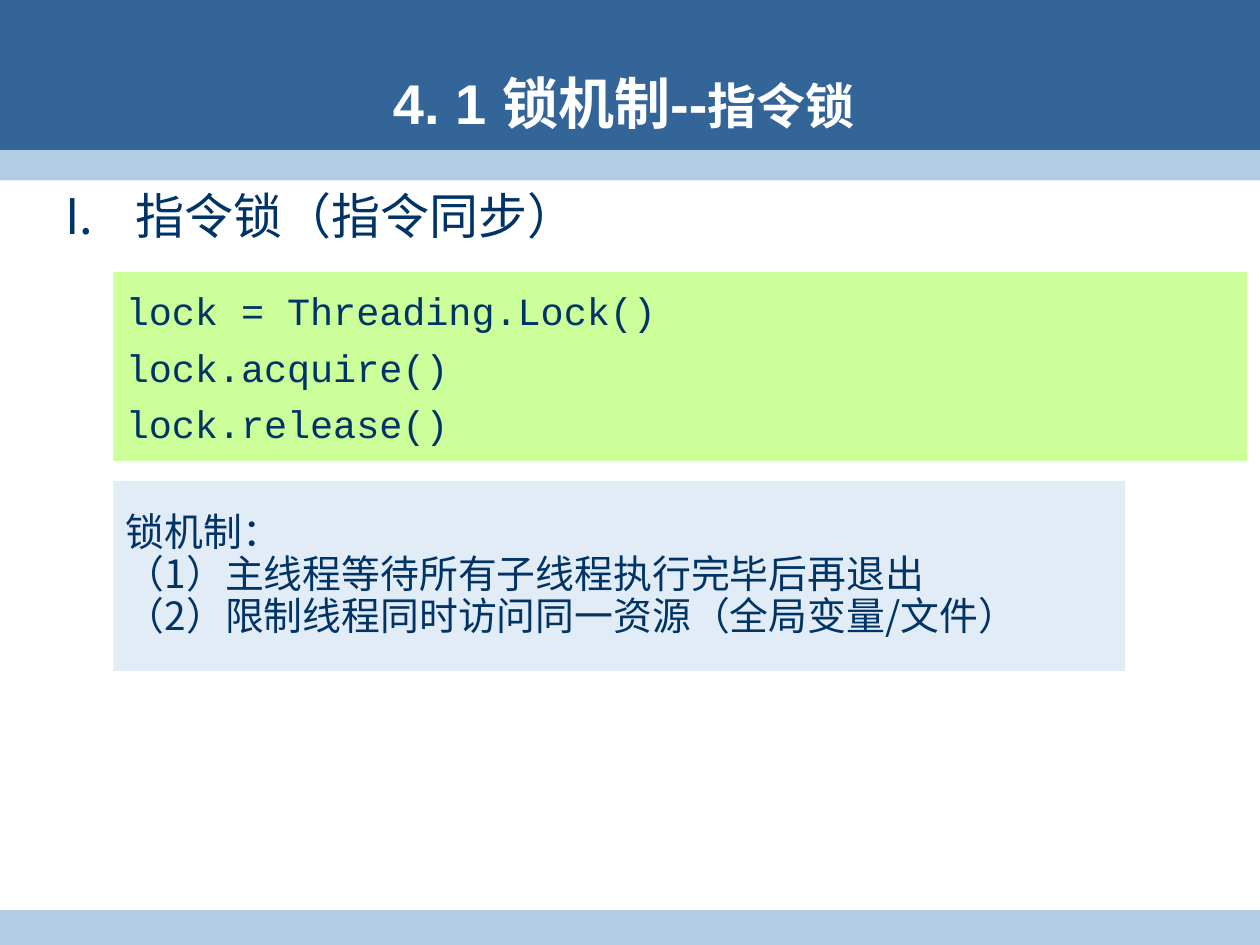
from dataclasses import dataclass

from lxml import etree
from pptx import Presentation
from pptx.dml.color import RGBColor
from pptx.enum.shapes import MSO_SHAPE
from pptx.enum.text import MSO_ANCHOR, PP_ALIGN
from pptx.oxml.ns import qn
from pptx.util import Inches, Pt

RECT = MSO_SHAPE.RECTANGLE
TOP, MIDDLE = MSO_ANCHOR.TOP, MSO_ANCHOR.MIDDLE
LEFT, CENTER = PP_ALIGN.LEFT, PP_ALIGN.CENTER
WIDTH, HEIGHT = Inches(10), Inches(7.5)
CJK, SANS, MONO = "Noto Sans CJK SC", "Arial", "Courier New"
COLORS = {
    "header": "336599",
    "stripe": "B3CCE6",
    "code": "CCFF99",
    "note": "E2ECF6",
    "ink": "003366",
    "white": "FFFFFF",
}


@dataclass
class Box:
    x: float
    y: float
    w: float
    h: float
    fill: str = ""


@dataclass
class Style:
    font: str
    size: float
    color: str = "ink"
    bold: bool = False
    align: PP_ALIGN = LEFT
    anchor: MSO_ANCHOR = MIDDLE
    after: float = 0
    spacing: float = 1.0


BANDS = [
    Box(0, 0, 1, 0.16, "header"),
    Box(0, 0.159, 1, 0.032, "stripe"),
    Box(0, 0.963, 1, 0.037, "stripe"),
]
TITLE = Box(0.042, 0.07, 0.906, 0.077)
HEADING = Box(0.042, 0.19, 0.948, 0.09)
CODE = Box(0.09, 0.288, 0.9, 0.2, "code")
NOTE = Box(0.09, 0.509, 0.803, 0.201, "note")


def add_box(slide, box: Box):
    rect = (int(box.x * WIDTH), int(box.y * HEIGHT),
            int(box.w * WIDTH), int(box.h * HEIGHT))
    if not box.fill:
        return slide.shapes.add_textbox(*rect)
    sp = slide.shapes.add_shape(RECT, *rect)
    sp.shadow.inherit = False
    sp.fill.solid()
    sp.fill.fore_color.rgb = RGBColor.from_string(COLORS[box.fill])
    sp.line.fill.background()
    return sp


def format_run(r, style: Style) -> None:
    r.font.name = style.font
    r.font.size = Pt(style.size)
    r.font.bold = style.bold
    r.font.color.rgb = RGBColor.from_string(COLORS[style.color])
    ea = etree.SubElement(r._r.get_or_add_rPr(), qn("a:ea"))
    ea.set("typeface", CJK)


def add_text(slide, box: Box, lines: list[str], style: Style):
    tf = add_box(slide, box).text_frame
    tf.word_wrap = True
    tf.vertical_anchor = style.anchor
    tf.text = "\n".join(lines)
    for p in tf.paragraphs:
        p.alignment = style.align
        p.line_spacing = style.spacing
        p.space_after = Pt(style.after)
        for r in p.runs:
            format_run(r, style)
    return tf


def add_roman_number(p, indent: float) -> None:
    pPr = p._p.get_or_add_pPr()
    pPr.set("marL", str(Inches(indent)))
    pPr.set("indent", str(-Inches(indent)))
    etree.SubElement(pPr, qn("a:buFont")).set("typeface", CJK)
    etree.SubElement(pPr, qn("a:buAutoNum")).set("type", "romanUcPeriod")


def main() -> None:
    prs = Presentation()
    prs.slide_width, prs.slide_height = WIDTH, HEIGHT
    slide = prs.slides.add_slide(prs.slide_layouts[6])

    for band in BANDS:
        add_box(slide, band)

    tf = add_text(slide, TITLE, ["4. 1 锁机制--"],
                  Style(SANS, 32, "white", True, CENTER))
    r = tf.paragraphs[0].add_run()
    r.text = "指令锁"
    format_run(r, Style(SANS, 28, "white", True))

    tf = add_text(slide, HEADING, ["指令锁（指令同步）"],
                  Style(CJK, 28, anchor=TOP))
    add_roman_number(tf.paragraphs[0], 0.56)

    add_text(slide, CODE,
             ["lock = Threading.Lock()", "lock.acquire()", "lock.release()"],
             Style(MONO, 22, after=6))
    add_text(slide, NOTE,
             ["锁机制：",
              "（1）主线程等待所有子线程执行完毕后再退出",
              "（2）限制线程同时访问同一资源（全局变量/文件）"],
             Style(CJK, 22.2, spacing=0.9))

    prs.save("out.pptx")


if __name__ == "__main__":
    main()
